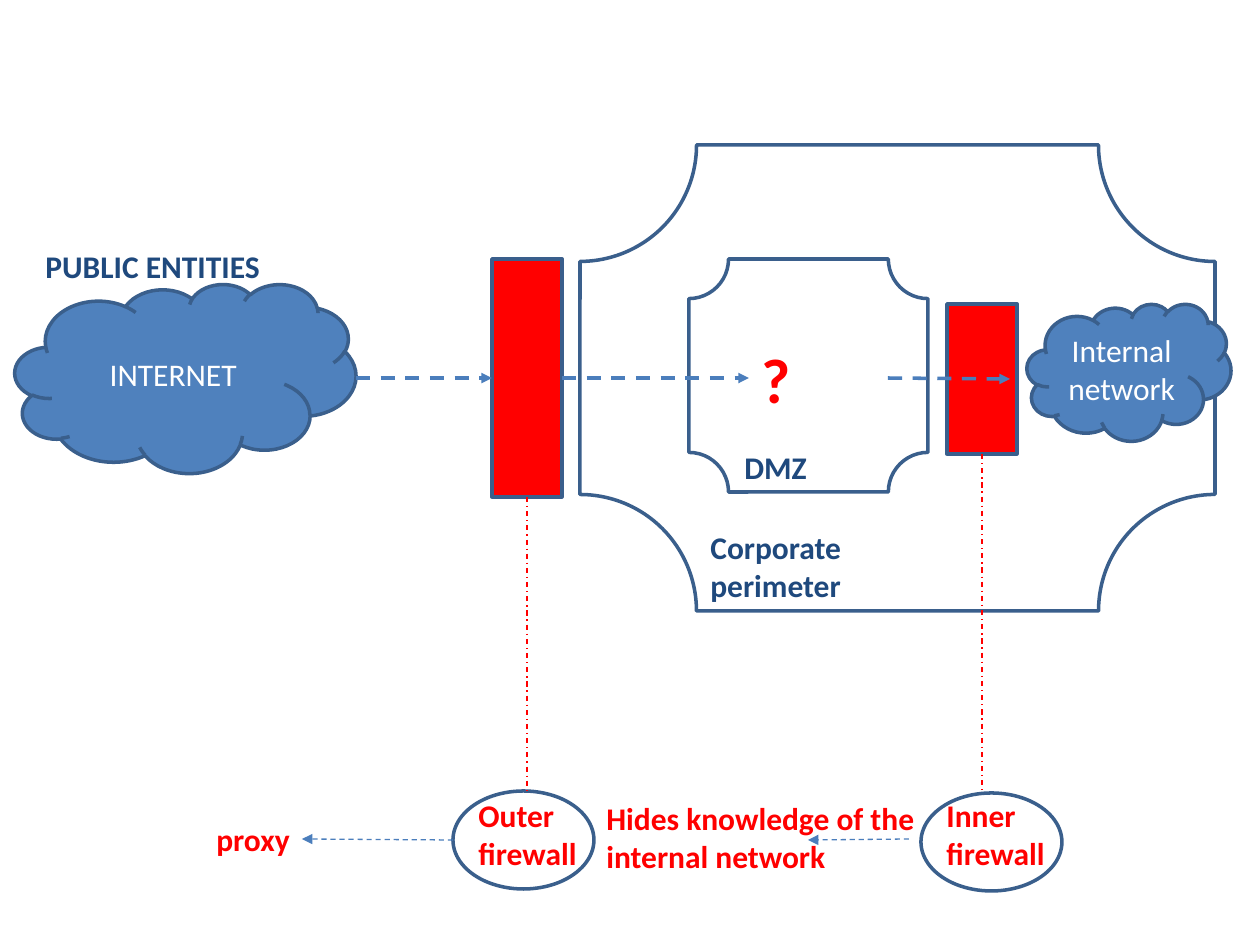
from lxml.etree import SubElement
from pptx import Presentation
from pptx.dml.color import RGBColor
from pptx.enum.dml import MSO_LINE
from pptx.enum.shapes import MSO_CONNECTOR, MSO_SHAPE
from pptx.enum.text import MSO_ANCHOR, PP_ALIGN
from pptx.oxml.ns import qn
from pptx.util import Emu, Pt

PX = 914400 / 126
FONT = "Calibri"
COLORS = {"blue": "4F81BD", "outline": "3A5F8C", "arrow": "4B7EBC",
          "navy": "1F497D", "red": "FF0000", "white": "FFFFFF"}
TOP, LEFT, BOTTOM, RIGHT = range(4)

# name: (preset, box in px, fill, text)
SHAPES = {
    "corporate perimeter": (MSO_SHAPE.PLAQUE, (580, 145, 635, 466), None, ""),
    "DMZ": (MSO_SHAPE.PLAQUE, (689, 259, 239, 233), None, ""),
    "internet": (MSO_SHAPE.CLOUD, (15, 284, 341, 189), "blue", "INTERNET"),
    "outer firewall": (MSO_SHAPE.RECTANGLE, (492, 259, 70, 238), "red", ""),
    "inner firewall": (MSO_SHAPE.RECTANGLE, (947, 304, 70, 150), "red", ""),
    "internal network": (MSO_SHAPE.CLOUD, (1027, 304, 204, 137), "blue",
                         "Internal network"),
    "outer ellipse": (MSO_SHAPE.OVAL, (453, 791, 141, 98), None, ""),
    "inner ellipse": (MSO_SHAPE.OVAL, (921, 793, 141, 98), None, ""),
}
PLAQUE_CORNERS = {"corporate perimeter": 0.25, "DMZ": 0.17}

# box in px, text, colour, size
LABELS = [
    ((33, 241, 319, 50), "PUBLIC ENTITIES", "navy", 18),
    ((698, 522, 277, 89), "Corporate perimeter", "navy", 18),
    ((732, 442, 277, 50), "DMZ", "navy", 18),
    ((749, 334, 139, 89), "?", "red", 36),
    ((466, 790, 159, 89), "Outer firewall", "red", 18),
    ((934, 790, 159, 89), "Inner\nfirewall", "red", 18),
    ((204, 814, 100, 50), "proxy", "red", 18),
    ((594, 793, 403, 89), "Hides knowledge of the internal network", "red", 18),
]

# An end is a point in px or a (shape name, side) pair.
FLOWS = [
    ((356, 378), ("outer firewall", LEFT)),
    (("outer firewall", RIGHT), (749, 378)),
    ((888, 378), (1010, 379)),
]
CALLOUTS = [
    (("outer firewall", BOTTOM), (527, 790)),
    (("inner firewall", BOTTOM), (982, 790)),
]
NOTE_ARROWS = [
    ((453, 840), (302, 839)),
    ((909, 839), (808, 840)),
]


def px(value):
    return Emu(round(value * PX))


def color(name):
    return RGBColor.from_string(COLORS[name])


def write(shape, text, color_name, size=18, bold=False, align=PP_ALIGN.LEFT):
    frame = shape.text_frame
    frame.word_wrap = True
    frame.text = text
    for paragraph in frame.paragraphs:
        paragraph.alignment = align
        for run in paragraph.runs:
            run.font.name = FONT
            run.font.size = Pt(size)
            run.font.bold = bold
            run.font.color.rgb = color(color_name)


def add_figure(name, preset, box, fill, text):
    shape = slide.shapes.add_shape(preset, *map(px, box))
    shape.shadow.inherit = False
    if fill:
        shape.fill.solid()
        shape.fill.fore_color.rgb = color(fill)
    else:
        shape.fill.background()
    shape.line.color.rgb = color("outline")
    shape.line.width = Pt(2)
    if name in PLAQUE_CORNERS:
        shape.adjustments[0] = PLAQUE_CORNERS[name]
    if text:
        write(shape, text, "white", align=PP_ALIGN.CENTER)
        shape.text_frame.vertical_anchor = MSO_ANCHOR.MIDDLE
    return shape


def add_line(begin, end, color_name, width, dash, arrow):
    points = [(0, 0) if isinstance(spot[0], str) else spot for spot in (begin, end)]
    line = slide.shapes.add_connector(
        MSO_CONNECTOR.STRAIGHT, *(px(value) for point in points for value in point))
    for spot, connect in ((begin, line.begin_connect), (end, line.end_connect)):
        if isinstance(spot[0], str):
            connect(figures[spot[0]], spot[1])
    line.line.color.rgb = color(color_name)
    line.line.width = Pt(width)
    line.line.dash_style = dash
    properties = line._element.spPr
    if arrow:
        SubElement(properties.find(qn("a:ln")), qn("a:tailEnd"), type="triangle")
    SubElement(properties, qn("a:effectLst"))


presentation = Presentation()
presentation.slide_width = px(1260)
presentation.slide_height = px(945)
slide = presentation.slides.add_slide(presentation.slide_layouts[6])

figures = {name: add_figure(name, *details) for name, details in SHAPES.items()}
for lines, color_name, width, dash, arrow in (
        (FLOWS, "arrow", 2, MSO_LINE.DASH, True),
        (CALLOUTS, "red", 0.75, MSO_LINE.DASH_DOT, False),
        (NOTE_ARROWS, "arrow", 0.75, MSO_LINE.DASH, True)):
    for begin, end in lines:
        add_line(begin, end, color_name, width, dash, arrow)
for box, text, color_name, size in LABELS:
    write(slide.shapes.add_textbox(*map(px, box)), text, color_name, size, bold=True)

presentation.save("out.pptx")
